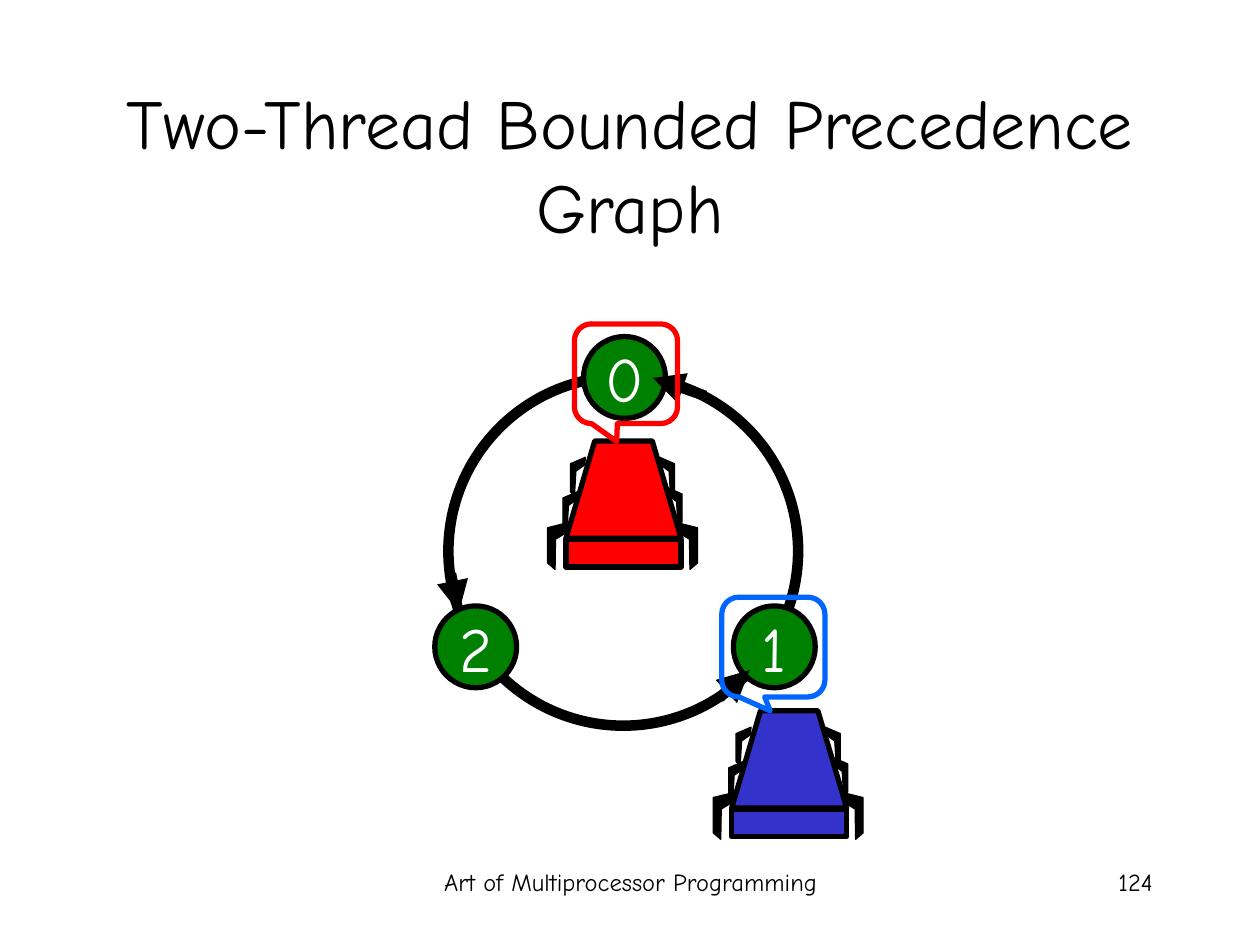
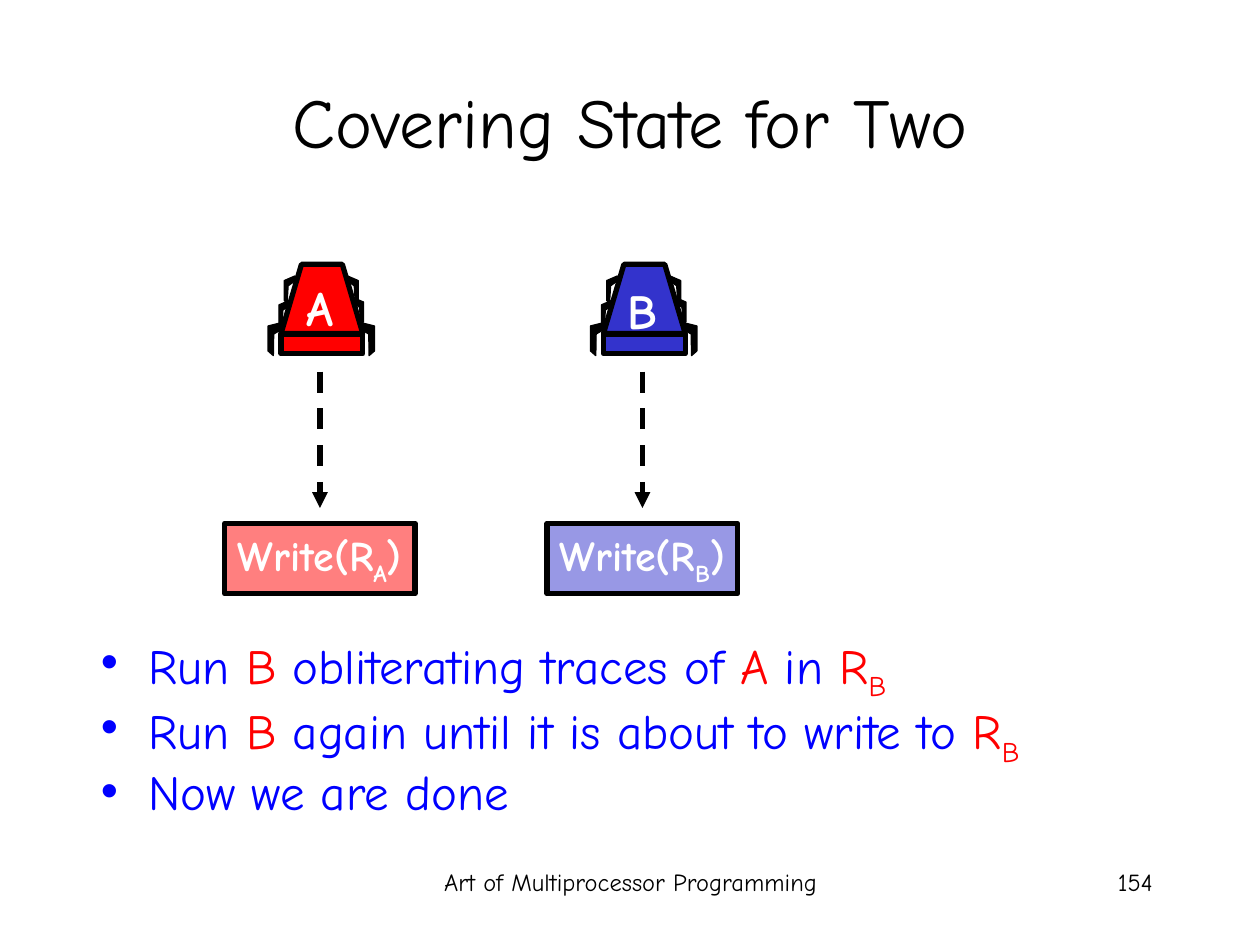
from lxml.etree import SubElement
from pptx import Presentation
from pptx.dml.color import RGBColor
from pptx.enum.dml import MSO_LINE
from pptx.enum.shapes import MSO_CONNECTOR, MSO_SHAPE
from pptx.enum.text import MSO_ANCHOR, MSO_AUTO_SIZE, PP_ALIGN
from pptx.oxml.ns import qn
from pptx.util import Cm, Pt

# Shared style
FONT = "Comic Neue"
BLACK, WHITE, GREEN = "000000", "FFFFFF", "008000"
RED, BLUE, INDIGO, SKY = "FF0000", "0000FF", "3333CC", "0066FF"
FOOTER = "Art of Multiprocessor Programming"
TITLE_ONLY, TITLE_AND_BODY = 5, 1

# Precedence graph (lengths in cm)
GRAPH_TITLE = "Two-Thread Bounded Precedence Graph"
RING = (9.04, 7.59, 7.05, 7.04)
NODE_SIZE = 1.65
NODES = [("0", 12.59, 7.61), ("1", 15.61, 13.04), ("2", 9.59, 13.04)]
RING_ARROWS = [
    (9.09, 11.56, 9.25, 12.34),
    (14.5, 14.07, 15.11, 13.51),
    (14.22, 7.98, 13.16, 7.62),
]
GRAPH_ROBOTS = [(15.91, 14.33, INDIGO), (12.57, 8.89, RED)]
CALLOUTS = [
    (11.58, 6.53, RED, (-0.09, 0.68, 0.17)),
    (14.55, 12.04, SKY, (-0.03, 0.64, 0.17)),
]

# Covering state
COVER_TITLE = "Covering State for Two"
THREADS = [("A", RED, 5.46), ("B", INDIGO, 5.54)]  # name, colour, label top
FIRST_THREAD, THREAD_STEP = 6.45, 6.5
BULLETS = [
    [("Run ", BLUE), ("B", RED), (" obliterating traces of ", BLUE),
     ("A", RED), (" in ", BLUE), ("R", RED), ("B", RED, "sub")],
    [("Run ", BLUE), ("B", RED), (" again until it is about to write to ", BLUE),
     ("R", RED), ("B", RED, "sub")],
    [("Now we are done", BLUE)],
]

# Robot outline at full size, relative to the middle of its top edge
BODY = [(-1.16, 1.96), (-0.58, 0), (0.58, 0), (1.16, 1.96)]
BASE_TOP, BASE_WIDTH, BASE_HEIGHT = 1.98, 2.32, 0.56
FRONT_LEG = [(1.03, 1.63), (1.51, 1.75), (1.51, 2.46),
             (1.36, 2.59), (1.35, 1.98), (1.05, 1.8)]
BACK_LEG = [(0.75, 0.33), (1.05, 0.46), (1.05, 1.02),
            (0.97, 1.12), (0.94, 0.61), (0.76, 0.48)]
MIDDLE_SHIFT = (0.15, 0.61)
LEFT_MIDDLE_DROP = 0.08


def colour(value):
    return RGBColor.from_string(value)


def paint(shape, fill=None, line=BLACK, weight=3):
    shape.shadow.inherit = False
    if fill:
        shape.fill.solid()
        shape.fill.fore_color.rgb = colour(fill)
    else:
        shape.fill.background()
    shape.line.color.rgb = colour(line)
    shape.line.width = Pt(weight)


def add_preset(page, preset, left, top, width, height, **style):
    shape = page.shapes.add_shape(preset, Cm(left), Cm(top), Cm(width), Cm(height))
    paint(shape, **style)
    return shape


def add_spans(para, spans, size, bold=False):
    """Each span is (text, colour) or (text, colour, "sub")."""
    for text, ink, *subscript in spans:
        span = para.add_run()
        span.text = text
        span.font.name, span.font.size = FONT, Pt(size)
        span.font.bold = bold
        span.font.color.rgb = colour(ink)
        if subscript:
            span._r.get_or_add_rPr().set("baseline", "-25000")


def write(shape, spans, size, align=PP_ALIGN.CENTER, bold=False,
          wrap=False, anchor=MSO_ANCHOR.TOP):
    frame = shape.text_frame
    frame.word_wrap = wrap
    frame.auto_size = MSO_AUTO_SIZE.NONE
    frame.vertical_anchor = anchor
    frame.paragraphs[0].alignment = align
    add_spans(frame.paragraphs[0], spans, size, bold)


def place(shape, left, top, width, height):
    shape.left, shape.top = Cm(left), Cm(top)
    shape.width, shape.height = Cm(width), Cm(height)


def add_text(page, left, top, width, height, text, size, ink=BLACK, **style):
    box = page.shapes.add_textbox(Cm(left), Cm(top), Cm(width), Cm(height))
    write(box, [(text, ink)], size, **style)


def add_arrow(page, ends, weight, dash=None):
    arrow = page.shapes.add_connector(MSO_CONNECTOR.STRAIGHT, *map(Cm, ends))
    arrow.line.color.rgb = colour(BLACK)
    arrow.line.width = Pt(weight)
    if dash:
        arrow.line.dash_style = dash
    SubElement(arrow.line._get_or_add_ln(), qn("a:tailEnd"), type="triangle")
    SubElement(arrow._element.spPr, qn("a:effectLst"))


def add_robot(page, center, top, fill, scale=1.0):
    def outline(points, **style):
        spots = [(Cm(center + x * scale), Cm(top + y * scale)) for x, y in points]
        builder = page.shapes.build_freeform(*spots[0])
        builder.add_line_segments(spots[1:], close=True)
        paint(builder.convert_to_shape(), **style)

    def legs(points, shift=(0, 0), left_drop=0):
        for side, drop in ((1, 0), (-1, left_drop)):
            outline([(side * (x + shift[0]) - 0.02, y + shift[1] + drop)
                     for x, y in points], fill=BLACK, weight=0.75)

    legs(FRONT_LEG)
    legs(BACK_LEG, MIDDLE_SHIFT, LEFT_MIDDLE_DROP)
    outline(BODY, fill=fill)
    add_preset(page, MSO_SHAPE.RECTANGLE, center - BASE_WIDTH * scale / 2,
               top + BASE_TOP * scale, BASE_WIDTH * scale, BASE_HEIGHT * scale,
               fill=fill)
    legs(BACK_LEG)


def add_page(deck, layout, title, title_top, number):
    page = deck.slides.add_slide(deck.slide_layouts[layout])
    place(page.shapes.title, 1.9, title_top, 21.6, 3.18)
    write(page.shapes.title, [(title, BLACK)], 40, wrap=True,
          anchor=MSO_ANCHOR.MIDDLE)
    add_text(page, 8.69, 17.35, 8.05, 1.27, FOOTER, 14, wrap=True)
    add_text(page, 18.21, 17.35, 5.28, 1.27, number, 14,
             align=PP_ALIGN.RIGHT, wrap=True)
    return page


def build_graph(deck):
    page = add_page(deck, TITLE_ONLY, GRAPH_TITLE, 1.7, "124")

    # Ring and numbered nodes
    add_preset(page, MSO_SHAPE.OVAL, *RING, weight=6)
    for name, x, y in NODES:
        node = add_preset(page, MSO_SHAPE.OVAL, x - NODE_SIZE / 2,
                          y - NODE_SIZE / 2, NODE_SIZE, NODE_SIZE, fill=GREEN)
        write(node, [(name, WHITE)], 36, anchor=MSO_ANCHOR.MIDDLE)
    for ends in RING_ARROWS:
        add_arrow(page, ends, 6)

    # Threads and the nodes they hold
    for center, top, fill in GRAPH_ROBOTS:
        add_robot(page, center, top, fill)
    for left, top, line, adjustments in CALLOUTS:
        callout = add_preset(page, MSO_SHAPE.ROUNDED_RECTANGULAR_CALLOUT,
                             left, top, 2.08, 2.01, line=line)
        for index, value in enumerate(adjustments):
            callout.adjustments[index] = value


def build_covering(deck):
    page = add_page(deck, TITLE_AND_BODY, COVER_TITLE, 0.84, "154")

    # Each thread is about to write its register
    for index, (name, fill, label_top) in enumerate(THREADS):
        center = FIRST_THREAD + index * THREAD_STEP
        add_robot(page, center + 0.04, 5.33, fill, scale=0.71)
        add_text(page, center - 0.55, label_top, 1.1, 1.45, name, 28, WHITE, bold=True)
        add_arrow(page, (center, 7.49, center, 10.24), 3, MSO_LINE.DASH)
        register = add_preset(page, MSO_SHAPE.RECTANGLE, center - 1.92, 10.55,
                              3.84, 1.42, fill=fill)
        solid = register._element.spPr.find(qn("a:solidFill"))
        SubElement(solid[0], qn("a:alpha"), val="50000")
        write(register, [("Write(R", WHITE), (name, WHITE, "sub"), (")", WHITE)],
              24, bold=True)

    # Bullets
    body = page.placeholders[1]
    place(body, 1.78, 12.8, 21.54, 4.14)
    frame = body.text_frame
    frame.auto_size = MSO_AUTO_SIZE.NONE
    for index, spans in enumerate(BULLETS):
        para = frame.add_paragraph() if index else frame.paragraphs[0]
        para.line_spacing, para.space_before = 0.8, Pt(7)
        properties = para._p.get_or_add_pPr()
        properties.set("marL", str(Cm(0.96)))
        properties.set("indent", str(-Cm(0.96)))
        add_spans(para, spans, 28)


def main():
    deck = Presentation()
    deck.slide_width, deck.slide_height = Cm(25.4), Cm(19.05)
    build_graph(deck)
    build_covering(deck)
    deck.save("out.pptx")


if __name__ == "__main__":
    main()
